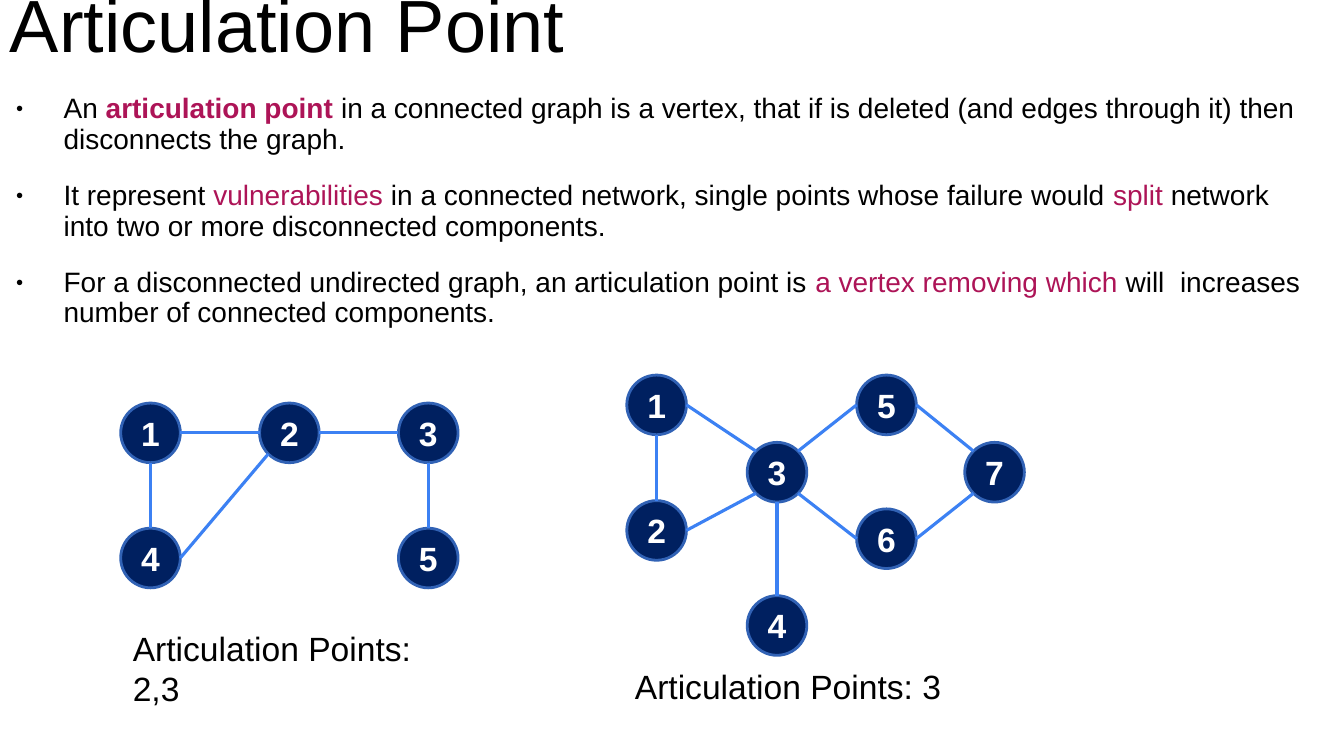
from math import cos, radians, sin
from lxml.etree import SubElement as Sub
from pptx import Presentation
from pptx.dml.color import RGBColor
from pptx.enum.shapes import MSO_CONNECTOR as Conn, MSO_SHAPE as Kind
from pptx.enum.text import MSO_ANCHOR as Anchor, PP_ALIGN as Align
from pptx.oxml.ns import qn
from pptx.util import Pt

BLACK = RGBColor(0x00, 0x00, 0x00)
WHITE = RGBColor(0xFF, 0xFF, 0xFF)
PINK = RGBColor(0xAD, 0x14, 0x57)
NAVY = RGBColor(0x00, 0x20, 0x60)
RIM = RGBColor(0x31, 0x62, 0xB5)
BLUE = RGBColor(0x3C, 0x81, 0xF3)

TITLE = "Articulation Point"
PLAIN = {"size": Pt(20), "name": "Arial", "bold": False}
MARK = {**PLAIN, "color": PINK}
STRONG = {**MARK, "bold": True}
HEAD = {**PLAIN, "size": Pt(52.8)}
NOTE = {**PLAIN, "size": Pt(24)}
LABEL = {**NOTE, "bold": True, "color": WHITE}

POINTS = [
    [("An ", PLAIN), ("articulation point ", STRONG),
     ("in a connected graph is a vertex, that if is deleted (and edges "
      "through it) then disconnects the graph.", PLAIN)],
    [("It represent ", PLAIN), ("vulnerabilities", MARK),
     (" in a connected network, single points whose failure would ", PLAIN),
     ("split ", MARK),
     ("network into two or more disconnected components.", PLAIN)],
    [("For a disconnected undirected graph, an articulation point is ", PLAIN),
     ("a vertex removing which ", MARK),
     ("will  increases number of connected components.", PLAIN)],
]

GRAPHS = [
    {"nodes": {1: (107.5, 309.2), 2: (206.7, 309.2), 3: (305.9, 309.2),
               4: (107.5, 398.6), 5: (305.9, 398.6)},
     "edges": [(1, "E", 2, "W"), (2, "E", 3, "W"), (1, "S", 4, "N"),
               (4, "E", 2, "SW"), (3, "S", 5, "N")],
     "note": ("Articulation Points: 2,3", 87.8, 445)},
    {"nodes": {1: (469, 289.2), 2: (469, 378.9), 3: (555, 337.3),
               4: (555, 446.8), 5: (633.2, 289.2), 6: (633.2, 384.8),
               7: (710.4, 337.3)},
     "edges": [(1, "E", 3, "NW"), (1, "S", 2, "N"), (2, "E", 3, "SW"),
               (3, "NE", 5, "W"), (3, "SE", 6, "W"), (3, "S", 4, "N"),
               (5, "E", 7, "NW"), (6, "E", 7, "SW")],
     "note": ("Articulation Points: 3", 446.4, 472.3)},
]

SIDE = 42.6
TURN = {side: radians(45 * i) for i, side in
        enumerate(["E", "SE", "S", "SW", "W", "NW", "N", "NE"])}

deck = Presentation()
deck.slide_width, deck.slide_height = Pt(960), Pt(540)
slide = deck.slides.add_slide(deck.slide_layouts[6])
shapes = slide.shapes


def write(para, text, style):
    run = para.add_run()
    run.text = text
    for key, value in {"color": BLACK, **style}.items():
        if key == "color":
            run.font.color.rgb = value
        else:
            setattr(run.font, key, value)


def inset(frame, pad):
    for side in ("left", "top", "right", "bottom"):
        setattr(frame, "margin_" + side, Pt(pad))


def add_box(x, y, w, h):
    frame = shapes.add_textbox(Pt(x), Pt(y), Pt(w), Pt(h)).text_frame
    frame.word_wrap = True
    return frame


def add_dot(para):
    props = para._p.get_or_add_pPr()
    props.set("marL", str(Pt(45.4)))
    props.set("indent", str(-Pt(34)))
    tint = Sub(props, qn("a:buClr"))
    Sub(tint, qn("a:srgbClr"), val=str(BLACK))
    Sub(props, qn("a:buSzPct"), val="45000")
    Sub(props, qn("a:buFont"), typeface="Arial")
    Sub(props, qn("a:buChar"), char="●")


def add_node(name, x, y):
    node = shapes.add_shape(Kind.OVAL, Pt(x - SIDE / 2), Pt(y - SIDE / 2),
                            Pt(SIDE), Pt(SIDE))
    node.shadow.inherit = False
    node.fill.solid()
    node.fill.fore_color.rgb = NAVY
    node.line.color.rgb = RIM
    node.line.width = Pt(2)
    frame = node.text_frame
    frame.vertical_anchor = Anchor.MIDDLE
    inset(frame, 0)
    para = frame.paragraphs[0]
    para.alignment = Align.CENTER
    write(para, str(name), LABEL)


def rim(spot, side):
    x, y = spot
    turn = TURN[side]
    return Pt(x + SIDE / 2 * cos(turn)), Pt(y + SIDE / 2 * sin(turn))


def add_edge(start, out, end, into):
    edge = shapes.add_connector(Conn.STRAIGHT, *rim(start, out),
                                *rim(end, into))
    edge.line.color.rgb = BLUE
    edge.line.width = Pt(2.25)
    Sub(edge._element.spPr, qn("a:effectLst"))


frame = add_box(0, 0, 960, 56.2)
frame.vertical_anchor = Anchor.BOTTOM
inset(frame, 7.2)
frame.paragraphs[0].line_spacing = 0.9
write(frame.paragraphs[0], TITLE, HEAD)

frame = add_box(0, 67.7, 939.6, 440)
inset(frame, 0)
for i, runs in enumerate(POINTS):
    para = frame.add_paragraph() if i else frame.paragraphs[0]
    add_dot(para)
    para.line_spacing = 0.9
    if i:
        para.space_before = Pt(18.9)
    for text, style in runs:
        write(para, text, style)

for graph in GRAPHS:
    nodes = graph["nodes"]
    for name, spot in nodes.items():
        add_node(name, *spot)
    for a, out, b, into in graph["edges"]:
        add_edge(nodes[a], out, nodes[b], into)
    text, x, y = graph["note"]
    write(add_box(x, y, 238.3, 36).paragraphs[0], text, NOTE)

deck.save("out.pptx")
